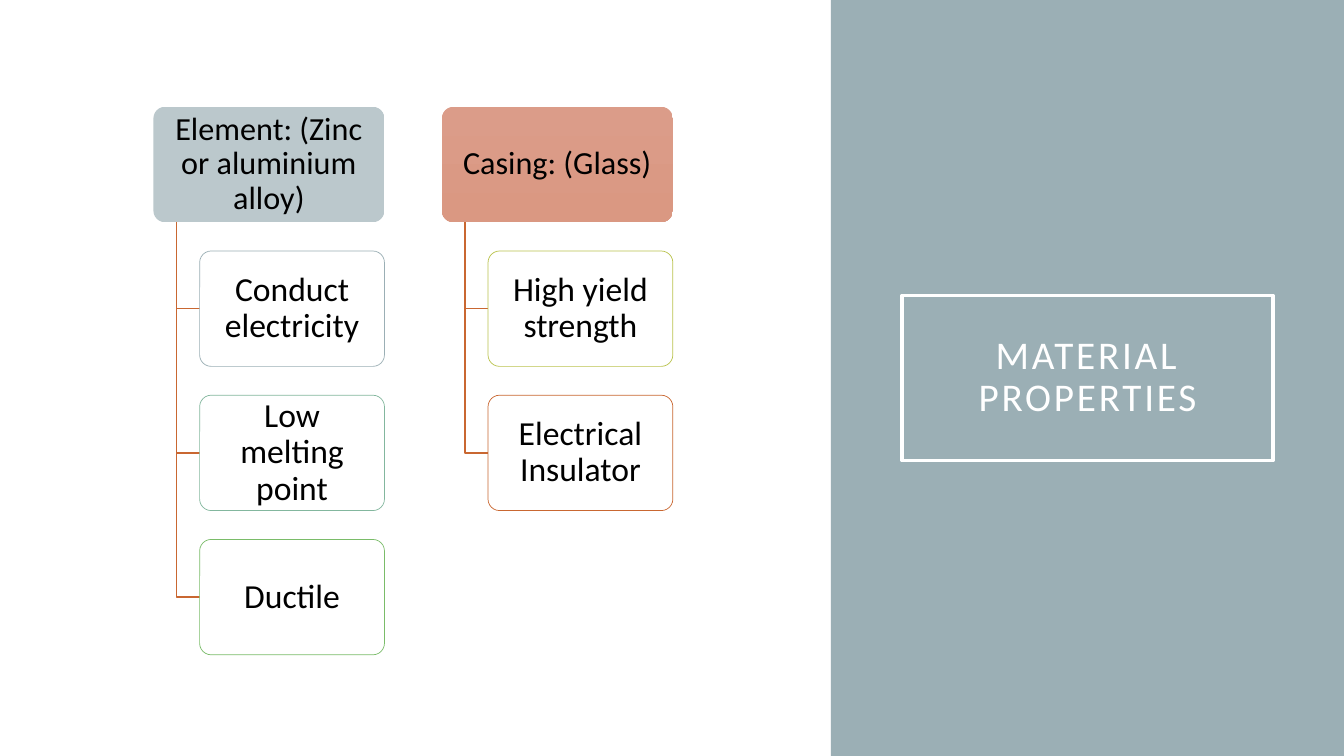
"""Build the material properties slide with two hierarchy columns and a title panel."""
import pptx
import pptx.util
import pptx.dml.color
import pptx.enum.shapes
import pptx.enum.text
import pptx.oxml.ns
import lxml.etree

Pt = pptx.util.Pt
RGBColor = pptx.dml.color.RGBColor
qn = pptx.oxml.ns.qn
SHAPES = pptx.enum.shapes.MSO_SHAPE

WHITE = RGBColor(0xFF, 0xFF, 0xFF)
BLACK = RGBColor(0x00, 0x00, 0x00)
SLATE = RGBColor(0x9B, 0xAF, 0xB5)
SLATE_TOP = RGBColor(0xBB, 0xC8, 0xCC)
SLATE_BOTTOM = RGBColor(0xB8, 0xC6, 0xCB)
SALMON_TOP = RGBColor(0xDB, 0x9C, 0x89)
SALMON_BOTTOM = RGBColor(0xDA, 0x98, 0x82)
RUST = RGBColor(0xC9, 0x67, 0x31)
SEA_GREEN = RGBColor(0x83, 0xB7, 0x9E)
GREEN = RGBColor(0x7A, 0xBC, 0x69)
LIME = RGBColor(0xBA, 0xC3, 0x4D)

FONT = "Calibri"
LEFT, TOP = 109.6, 76.3
COLUMN_STEP, ROW_STEP = 206, 103
HEAD_WIDTH, BOX_HEIGHT = 165, 82.4
SPINE_INDENT, CHILD_INDENT = 16.5, 33

COLUMNS = [
    ("Element: (Zinc or aluminium alloy)", (SLATE_TOP, SLATE_BOTTOM),
     [("Conduct electricity", SLATE), ("Low melting point", SEA_GREEN), ("Ductile", GREEN)]),
    ("Casing: (Glass)", (SALMON_TOP, SALMON_BOTTOM),
     [("High yield strength", LIME), ("Electrical Insulator", RUST)]),
]


def write_text(box, text, size, color, inset_x, inset_y):
    """Put one centred paragraph in the middle of a box."""
    frame = box.text_frame
    frame.word_wrap = True
    frame.auto_size = pptx.enum.text.MSO_AUTO_SIZE.NONE
    frame.vertical_anchor = pptx.enum.text.MSO_ANCHOR.MIDDLE
    frame.margin_left = frame.margin_right = Pt(inset_x)
    frame.margin_top = frame.margin_bottom = Pt(inset_y)
    para = frame.paragraphs[0]
    para.text = text
    para.alignment = pptx.enum.text.PP_ALIGN.CENTER
    para.line_spacing = 0.9
    para.font.name = FONT
    para.font.size = Pt(size)
    para.font.color.rgb = color


def add_box(slide, left, top, width, text, size):
    """Add a rounded box with black text."""
    box = slide.shapes.add_shape(
        SHAPES.ROUNDED_RECTANGLE, Pt(left), Pt(top), Pt(width), Pt(BOX_HEIGHT))
    box.adjustments[0] = 0.1
    box.shadow.inherit = False
    write_text(box, text, size, BLACK, 5.5, 4.4)
    return box


def add_head(slide, left, text, colors):
    """Add the gradient box at the top of a column."""
    box = add_box(slide, left, TOP, HEAD_WIDTH, text, 23)
    box.fill.gradient()
    box.fill.gradient_angle = 270
    for stop, color in zip(box.fill.gradient_stops, colors):
        stop.color.rgb = color
    box.line.fill.background()


def add_child(slide, left, top, text, color):
    """Add an outlined box with a slightly transparent white fill."""
    box = add_box(slide, left, top, HEAD_WIDTH - CHILD_INDENT, text, 24)
    box.fill.solid()
    box.fill.fore_color.rgb = WHITE
    white_fill = box.element.spPr.find(qn("a:solidFill"))[0]
    lxml.etree.SubElement(white_fill, qn("a:alpha")).set("val", "90000")
    box.line.color.rgb = color
    box.line.width = Pt(0.5)


def add_elbow(slide, left, top, right, bottom):
    """Add an open line going down and then right."""
    builder = slide.shapes.build_freeform(Pt(left), Pt(top))
    builder.add_line_segments(
        [(Pt(left), Pt(bottom)), (Pt(right), Pt(bottom))], close=False)
    elbow = builder.convert_to_shape()
    elbow.shadow.inherit = False
    elbow.fill.background()
    elbow.line.color.rgb = RUST
    elbow.line.width = Pt(1)


def add_column(slide, left, heading, colors, children):
    """Add a heading with its children linked below it."""
    add_head(slide, left, heading, colors)
    child_left = left + CHILD_INDENT
    for row, (text, color) in enumerate(children, start=1):
        top = TOP + row * ROW_STEP
        add_elbow(slide, left + SPINE_INDENT, TOP + BOX_HEIGHT,
                  child_left, top + BOX_HEIGHT / 2)
        add_child(slide, child_left, top, text, color)


def add_title_panel(slide):
    """Add the side panel and set the framed title on it."""
    panel = slide.shapes.add_shape(
        SHAPES.RECTANGLE, Pt(593.5), Pt(0), Pt(366.5), Pt(540))
    panel.shadow.inherit = False
    panel.fill.solid()
    panel.fill.fore_color.rgb = SLATE
    panel.line.fill.background()

    title = slide.shapes.title
    panel.element.addnext(title.element)
    title.left, title.top = Pt(644.4), Pt(211)
    title.width, title.height = Pt(265), Pt(118)
    title.line.color.rgb = WHITE
    title.line.width = Pt(2.5)
    write_text(title, "MATERIAL PROPERTIES", 28, WHITE, 14.4, 14.4)
    title.element.find(".//" + qn("a:defRPr")).set("spc", "200")


def main():
    """Build and save the deck."""
    deck = pptx.Presentation()
    deck.slide_width, deck.slide_height = Pt(960), Pt(540)
    slide = deck.slides.add_slide(deck.slide_layouts[5])
    add_title_panel(slide)
    for index, (heading, colors, children) in enumerate(COLUMNS):
        add_column(slide, LEFT + index * COLUMN_STEP, heading, colors, children)
    deck.save("out.pptx")


if __name__ == "__main__":
    main()
